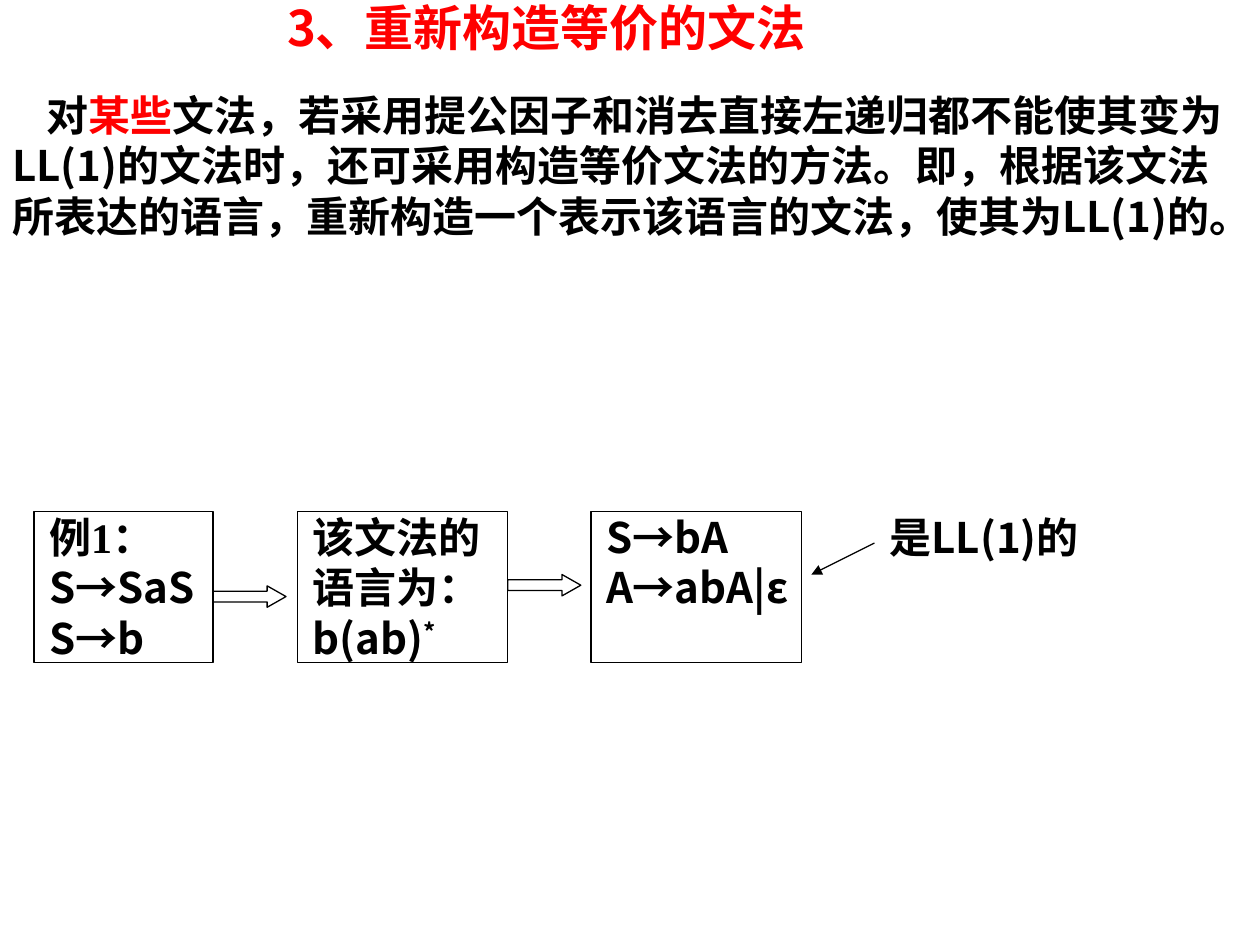
from lxml.etree import SubElement
from pptx import Presentation
from pptx.dml.color import RGBColor
from pptx.enum.shapes import MSO_CONNECTOR, MSO_SHAPE
from pptx.enum.text import MSO_ANCHOR, PP_ALIGN
from pptx.oxml.ns import qn
from pptx.util import Inches, Pt

BLACK = RGBColor(0, 0, 0)
RED = RGBColor(255, 0, 0)
SANS, SERIF = "Noto Sans CJK SC", "Times New Roman"
LINE_WIDTH = Pt(0.75)

# Content
TITLE = "3、重新构造等价的文法"
INTRO = [
    ("对", BLACK),
    ("某些", RED),
    ("文法，若采用提公因子和消去直接左递归都不能使其变为LL(1)的文法时，"
     "还可采用构造等价文法的方法。即，根据该文法所表达的语言，"
     "重新构造一个表示该语言的文法，使其为LL(1)的。", BLACK),
]
# Steps: left, width, lines of (text, superscript, font)
STEPS = [
    (0.27, 1.42, [("例1：", "", SERIF), ("S→SaS", "", SANS), ("S→b", "", SANS)]),
    (2.36, 1.67, [("该文法的", "", SANS), ("语言为：", "", SANS), ("b(ab)", "*", SANS)]),
    (4.69, 1.67, [("S→bA", "", SANS), ("A→abA|ε", "", SANS)]),
]
STEP_TOP, STEP_HEIGHT = 4.06, 1.2
ARROW_TOPS = [4.65, 4.56]
VERDICT = "是LL(1)的"


def style(paragraph, size=24, color=BLACK, name=SANS):
    paragraph.line_spacing = Pt(size * 1.2)
    font = paragraph.font
    font.size, font.bold, font.name = Pt(size), True, name
    font.color.rgb = color
    SubElement(font._element, qn("a:ea")).set("typeface", SANS)


def set_insets(frame, left, top=0, right=0, bottom=0):
    frame.word_wrap = True
    frame.margin_left, frame.margin_top = Inches(left), Inches(top)
    frame.margin_right, frame.margin_bottom = Inches(right), Inches(bottom)


def add_outline(kind, left, top, width, height):
    shape = slide.shapes.add_shape(
        kind, Inches(left), Inches(top), Inches(width), Inches(height))
    shape.shadow.inherit = False
    shape.fill.background()
    shape.line.color.rgb = BLACK
    shape.line.width = LINE_WIDTH
    return shape


prs = Presentation()
prs.slide_width, prs.slide_height = Inches(10), Inches(7.5)
slide = prs.slides.add_slide(prs.slide_layouts[5])

# Title
title = slide.shapes.title
title.left, title.top = Inches(0.17), Inches(0)
title.width, title.height = Inches(8.33), Inches(0.42)
title.text_frame.text = TITLE
title.text_frame.vertical_anchor = MSO_ANCHOR.MIDDLE
heading = title.text_frame.paragraphs[0]
heading.alignment = PP_ALIGN.CENTER
style(heading, 28, RED)

# Introduction, with an indented first line
intro = slide.shapes.add_textbox(Inches(0), Inches(0.58), Inches(9.83), Inches(1.83))
set_insets(intro.text_frame, 0.1, 0.13, 0.1, 0.05)
intro_text = intro.text_frame.paragraphs[0]
intro_text._p.get_or_add_pPr().set("indent", str(Inches(0.27)))
style(intro_text)
for text, color in INTRO:
    run = intro_text.add_run()
    run.text = text
    run.font.color.rgb = color

# Step boxes
for left, width, lines in STEPS:
    step = add_outline(MSO_SHAPE.RECTANGLE, left, STEP_TOP, width, STEP_HEIGHT)
    frame = step.text_frame
    set_insets(frame, 0.12)
    frame.vertical_anchor = MSO_ANCHOR.TOP
    for number, (text, superscript, name) in enumerate(lines):
        line = frame.add_paragraph() if number else frame.paragraphs[0]
        line.alignment = PP_ALIGN.LEFT
        style(line, name=name)
        line.add_run().text = text
        if superscript:
            raised = line.add_run()
            raised.text = superscript
            raised.font._element.set("baseline", "30000")

# Block arrows, each starting at the right side of a step
for (left, width, _), top in zip(STEPS, ARROW_TOPS):
    arrow = add_outline(MSO_SHAPE.RIGHT_ARROW, left + width, top, 0.58, 0.17)
    arrow.adjustments[0], arrow.adjustments[1] = 0.5, 0.88

# Verdict and its pointer to the last step
verdict = slide.shapes.add_textbox(
    Inches(6.94), Inches(STEP_TOP), Inches(1.83), Inches(0.4))
set_insets(verdict.text_frame, 0.12)
verdict.text_frame.text = VERDICT
style(verdict.text_frame.paragraphs[0])

pointer = slide.shapes.add_connector(
    MSO_CONNECTOR.STRAIGHT, Inches(6.94), Inches(4.31), Inches(6.44), Inches(4.56))
pointer.line.color.rgb = BLACK
pointer.line.width = LINE_WIDTH
SubElement(pointer.line._get_or_add_ln(), qn("a:tailEnd")).set("type", "triangle")
SubElement(pointer._element.spPr, qn("a:effectLst"))

prs.save("out.pptx")
